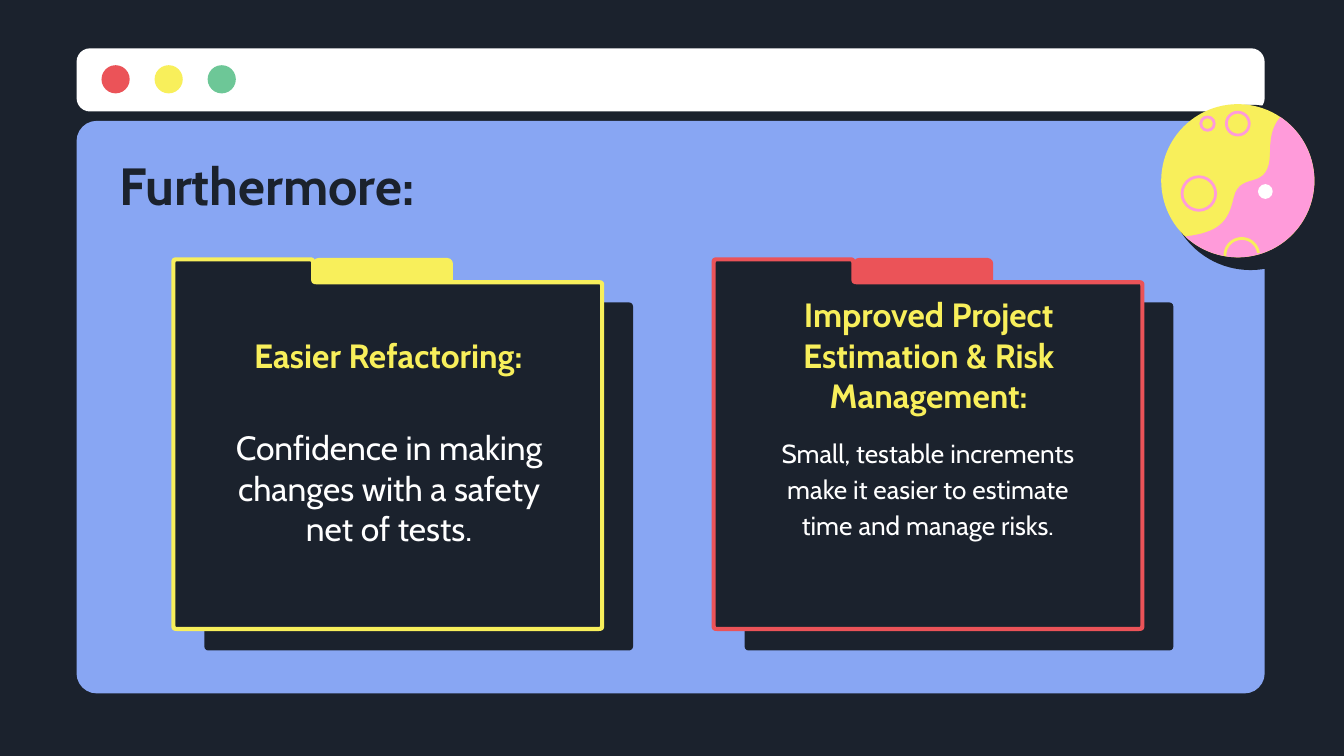
import math
from dataclasses import dataclass

import pptx
import pptx.dml.color
import pptx.enum.shapes
import pptx.enum.text
import pptx.util

Inches = pptx.util.Inches
Pt = pptx.util.Pt
MSO = pptx.enum.shapes.MSO_SHAPE
Point = tuple[float, float]
Box = tuple[float, float, float, float]


@dataclass(frozen=True)
class Theme:
    font: str = "Cabin"
    dark: str = "1B222D"
    blue: str = "88A6F3"
    white: str = "FFFFFF"
    red: str = "EB5358"
    yellow: str = "F8EF5B"
    green: str = "6DC797"
    pink: str = "FF9BDA"
    title: float = 28
    heading: float = 18
    body: float = 18
    small: float = 14
    outline: float = 2.25
    crater: float = 1.5


@dataclass(frozen=True)
class Folder:
    left: float
    color: str
    heading: str
    body: str
    body_left: float
    body_top: float
    body_size: float
    spacing: float = 1.0
    after: float = 0


@dataclass(frozen=True)
class Circle:
    x: float
    y: float
    r: float


THEME = Theme()
PLANET = Circle(9.21, 1.345, 0.57)
CRATERS = [Circle(8.92, 1.44, 0.125), Circle(9.21, 0.92, 0.085), Circle(8.985, 0.92, 0.05)]
WAVE = [
    ((8.82, 1.76), (9.06, 1.73), (9.14, 1.66), (9.18, 1.47)),
    ((9.18, 1.47), (9.23, 1.26), (9.45, 1.44), (9.45, 1.13)),
    ((9.45, 1.13), (9.45, 0.98), (9.49, 0.91), (9.53, 0.87)),
]
FOLDERS = [
    Folder(5.31, THEME.red, "Improved Project Estimation & Risk Management:",
           "Small, testable increments make it easier to estimate time and manage risks.",
           5.58, 3.12, THEME.small, 1.15, 8),
    Folder(1.29, THEME.yellow, "Easier Refactoring:",
           "Confidence in making changes with a safety net of tests.",
           1.57, 3.08, THEME.body),
]


def rgb(color: str):
    return pptx.dml.color.RGBColor.from_string(color)


def paint(sp, fill: str | None, line: str | None = None, width: float = 0) -> None:
    sp.shadow.inherit = False
    if fill:
        sp.fill.solid()
        sp.fill.fore_color.rgb = rgb(fill)
    else:
        sp.fill.background()
    if line:
        sp.line.color.rgb = rgb(line)
        sp.line.width = Pt(width)
    else:
        sp.line.fill.background()


def add_round_rect(s, box: Box, radius: float, fill: str) -> None:
    sp = s.shapes.add_shape(MSO.ROUNDED_RECTANGLE, *map(Inches, box))
    sp.adjustments[0] = radius / min(box[2:])
    paint(sp, fill)


def add_circle(s, c: Circle, fill: str | None, line: str | None = None, width: float = 0) -> None:
    box = (c.x - c.r, c.y - c.r, 2 * c.r, 2 * c.r)
    paint(s.shapes.add_shape(MSO.OVAL, *map(Inches, box)), fill, line, width)


def add_outline(s, points: list[Point], fill: str | None, line: str | None = None,
                width: float = 0, close: bool = True) -> None:
    start, *rest = [(Inches(x), Inches(y)) for x, y in points]
    fb = s.shapes.build_freeform(*start, scale=1.0)
    fb.add_line_segments(rest, close=close)
    paint(fb.convert_to_shape(), fill, line, width)


def bezier(a: Point, b: Point, c: Point, d: Point, steps: int = 16) -> list[Point]:
    points = []
    for i in range(steps + 1):
        t = i / steps
        weights = ((1 - t) ** 3, 3 * t * (1 - t) ** 2, 3 * t * t * (1 - t), t ** 3)
        points.append(tuple(sum(w * p[k] for w, p in zip(weights, (a, b, c, d))) for k in (0, 1)))
    return points


def arc(c: Circle, first: float, last: float, steps: int = 48) -> list[Point]:
    angles = [math.radians(first + (last - first) * i / steps) for i in range(steps + 1)]
    return [(c.x + c.r * math.cos(a), c.y + c.r * math.sin(a)) for a in angles]


def toward(a: Point, b: Point, distance: float) -> Point:
    t = distance / math.dist(a, b)
    return a[0] + (b[0] - a[0]) * t, a[1] + (b[1] - a[1]) * t


def rounded(corners: list[Point], radius: float) -> list[Point]:
    points = []
    for i, v in enumerate(corners):
        before, after = corners[i - 1], corners[(i + 1) % len(corners)]
        points += bezier(toward(v, before, radius), v, v, toward(v, after, radius), 6)
    return points


def add_text(s, box: Box, text: str, size: float, color: str, bold: bool = False,
             center: bool = True, middle: bool = True, spacing: float = 1.0,
             after: float = 0) -> None:
    tf = s.shapes.add_textbox(*map(Inches, box)).text_frame
    tf.word_wrap = True
    tf.margin_left = tf.margin_right = tf.margin_top = tf.margin_bottom = Inches(0.1)
    anchor = pptx.enum.text.MSO_ANCHOR
    tf.vertical_anchor = anchor.MIDDLE if middle else anchor.TOP
    p = tf.paragraphs[0]
    p.text = text
    align = pptx.enum.text.PP_ALIGN
    p.alignment = align.CENTER if center else align.LEFT
    p.line_spacing = spacing
    p.space_after = Pt(after)
    p.font.name = THEME.font
    p.font.size = Pt(size)
    p.font.bold = bold
    p.font.color.rgb = rgb(color)


def add_window(s) -> None:
    add_round_rect(s, (0.57, 0.9, 8.84, 4.26), 0.15, THEME.blue)
    add_round_rect(s, (0.57, 0.36, 8.84, 0.47), 0.1, THEME.white)
    for i, color in enumerate((THEME.red, THEME.yellow, THEME.green)):
        add_circle(s, Circle(0.86 + 0.395 * i, 0.59, 0.105), color)


def add_planet(s) -> None:
    add_circle(s, Circle(9.305, 1.395, 0.615), THEME.dark)
    add_circle(s, PLANET, THEME.yellow)
    for crater in CRATERS:
        add_circle(s, crater, None, THEME.pink, THEME.crater)
    wave = [point for curve in WAVE for point in bezier(*curve)]
    add_outline(s, wave + arc(PLANET, -56, 133), THEME.pink)
    add_outline(s, arc(Circle(9.24, 1.9, 0.125), 178, 352), None, THEME.yellow,
                THEME.crater, close=False)
    add_circle(s, Circle(9.415, 1.425, 0.055), THEME.white)


def add_folder(s, f: Folder) -> None:
    top, shelf, bottom = 1.93, 2.1, 4.68
    tab, right = f.left + 1.04, f.left + 3.19
    add_round_rect(s, (f.left + 0.23, 2.25, 3.19, 2.59), 0.03, THEME.dark)
    add_round_rect(s, (tab, 1.92, 1.04, 0.33), 0.04, f.color)
    corners = [(f.left, top), (tab, top), (tab, shelf), (right, shelf),
               (right, bottom), (f.left, bottom)]
    add_outline(s, rounded(corners, 0.04), THEME.dark, f.color, THEME.outline)
    add_text(s, (f.body_left, f.body_top, 2.65, 1.1), f.body, f.body_size, THEME.white,
             middle=False, spacing=f.spacing, after=f.after)
    add_text(s, (f.left + 0.28, 2.35, 2.64, 0.58), f.heading, THEME.heading, THEME.yellow,
             bold=True)


def main() -> None:
    prs = pptx.Presentation()
    prs.slide_width = Inches(10)
    prs.slide_height = prs.slide_width * 9 // 16
    s = prs.slides.add_slide(prs.slide_layouts[6])
    s.background.fill.solid()
    s.background.fill.fore_color.rgb = rgb(THEME.dark)
    add_window(s)
    add_planet(s)
    add_text(s, (0.79, 1.06, 8.43, 0.62), "Furthermore:", THEME.title, THEME.dark,
             bold=True, center=False)
    for folder in FOLDERS:
        add_folder(s, folder)
    prs.save("out.pptx")


if __name__ == "__main__":
    main()
